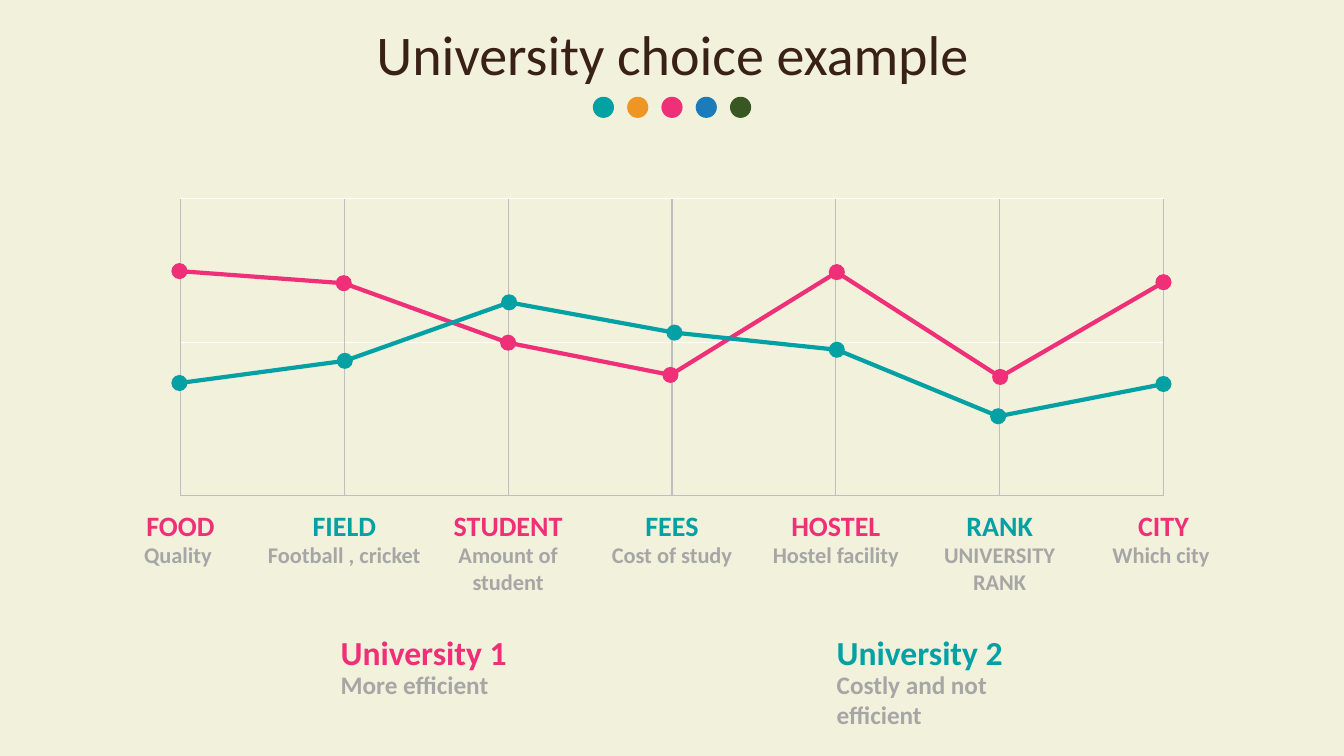
"""Build the university choice slide: a seven-criterion line comparison."""
from lxml import etree
from pptx import Presentation
from pptx import util as u
from pptx.dml.color import RGBColor
from pptx.enum import shapes, text
from pptx.oxml.ns import qn

THEME = {
    "font": "Calibri", "bg": "F2F1DB", "title": "392115", "muted": "A6A6A6",
    "grid": "BFBFBF", "white": "FFFFFF", "pink": "EF3078", "teal": "03A1A4",
    "orange": "EE9524", "blue": "1C7CBB", "green": "385723",
    "title_pt": 40, "name_pt": 24, "note_pt": 18, "label_pt": 20, "detail_pt": 16,
    "grid_pt": 0.75, "series_pt": 3,
}

TITLE = "University choice example"
DOTS = ["teal", "orange", "pink", "blue", "green"]
CRITERIA = [
    ("FOOD", "Quality ", 0.37),
    ("FIELD", "Football , cricket", 0.37),
    ("STUDENT", "Amount of student", 0.64),
    ("FEES", "Cost of study", 0.37),
    ("HOSTEL", "Hostel facility", 0.37),
    ("RANK", "UNIVERSITY RANK", 0.64),
    ("CITY", "Which city ", 0.37),
]
SERIES = {
    "pink": [(1.78, 2.69), (3.41, 2.81), (5.04, 3.4), (6.65, 3.72),
             (8.3, 2.7), (9.92, 3.74), (11.54, 2.8)],
    "teal": [(1.78, 3.8), (3.42, 3.58), (5.05, 3.0), (6.69, 3.3),
             (8.3, 3.47), (9.9, 4.13), (11.54, 3.81)],
}
UNIVERSITIES = [
    ("University 1", "More efficient", "pink", 3.28, 0.4),
    ("University 2", "Costly and not efficient", "teal", 8.2, 0.71),
]

LEFT, RIGHT, TOP, MIDDLE, BOTTOM = 1.79, 11.54, 1.97, 3.4, 4.92
STEP = (RIGHT - LEFT) / (len(CRITERIA) - 1)
LABEL_W, DETAIL_W = 1.48, 1.81
DOT, DOT_STEP, MARKER = 0.21, 0.34, 0.16


def rgb(name):
    return RGBColor.from_string(THEME[name])


def add_text(parent, box, words, size, color, bold=True, align=text.PP_ALIGN.CENTER):
    sp = parent.shapes.add_textbox(*map(u.Inches, box))
    tf = sp.text_frame
    tf.word_wrap = True
    tf.auto_size = text.MSO_AUTO_SIZE.SHAPE_TO_FIT_TEXT
    p = tf.paragraphs[0]
    p.alignment = align
    r = p.add_run()
    r.text = words
    r.font.name, r.font.size, r.font.bold = THEME["font"], u.Pt(THEME[size]), bold
    r.font.color.rgb = rgb(color)


def add_dot(parent, x, y, size, color):
    sp = parent.shapes.add_shape(shapes.MSO_SHAPE.OVAL, *map(u.Inches, (x, y, size, size)))
    sp.shadow.inherit = False
    sp.fill.solid()
    sp.fill.fore_color.rgb = rgb(color)
    sp.line.fill.background()


def add_line(s, start, end, color, width):
    ln = s.shapes.add_connector(shapes.MSO_CONNECTOR.STRAIGHT, *map(u.Inches, (*start, *end)))
    ln.line.color.rgb = rgb(color)
    ln.line.width = u.Pt(THEME[width])
    etree.SubElement(ln._element.spPr, qn("a:effectLst"))


def add_header(s):
    grp = s.shapes.add_group_shape()
    add_text(grp, (2.69, 0.14, 7.96, 0.77), TITLE, "title_pt", "title", bold=False)
    for i, color in enumerate(DOTS):
        add_dot(grp, 5.88 + i * DOT_STEP, 0.96, DOT, color)


def add_plot(s):
    for y, color in ((BOTTOM, "grid"), (MIDDLE, "white")):
        add_line(s, (LEFT, y), (RIGHT, y), color, "grid_pt")
    for i in range(len(CRITERIA)):
        x = LEFT + i * STEP
        add_line(s, (x, BOTTOM), (x, TOP), "grid", "grid_pt")
    add_line(s, (LEFT, TOP), (RIGHT, TOP), "white", "grid_pt")
    for color, points in SERIES.items():
        for start, end in zip(points, points[1:]):
            add_line(s, start, end, color, "series_pt")
    for color, points in SERIES.items():
        for x, y in points:
            add_dot(s, x - MARKER / 2, y - MARKER / 2, MARKER, color)


def add_criteria(s):
    for i, (label, detail, height) in enumerate(CRITERIA):
        x = LEFT + i * STEP
        grp = s.shapes.add_group_shape()
        add_text(grp, (x - LABEL_W / 2, 5, LABEL_W, 0.44), label,
                 "label_pt", ("pink", "teal")[i % 2])
        add_text(grp, (x - DETAIL_W / 2, 5.32, DETAIL_W, height), detail,
                 "detail_pt", "muted")


def add_universities(s):
    for name, note, color, x, height in UNIVERSITIES:
        grp = s.shapes.add_group_shape()
        add_text(grp, (x, 6.22, 2.07, 0.5), name, "name_pt", color,
                 align=text.PP_ALIGN.LEFT)
        add_text(grp, (x, 6.59, 2.32, height), note, "note_pt", "muted",
                 align=text.PP_ALIGN.LEFT)


def main():
    prs = Presentation()
    prs.slide_width, prs.slide_height = u.Inches(13.33), u.Inches(7.5)
    s = prs.slides.add_slide(prs.slide_layouts[6])
    s.background.fill.solid()
    s.background.fill.fore_color.rgb = rgb("bg")
    add_header(s)
    add_plot(s)
    add_criteria(s)
    add_universities(s)
    prs.save("out.pptx")


if __name__ == "__main__":
    main()
